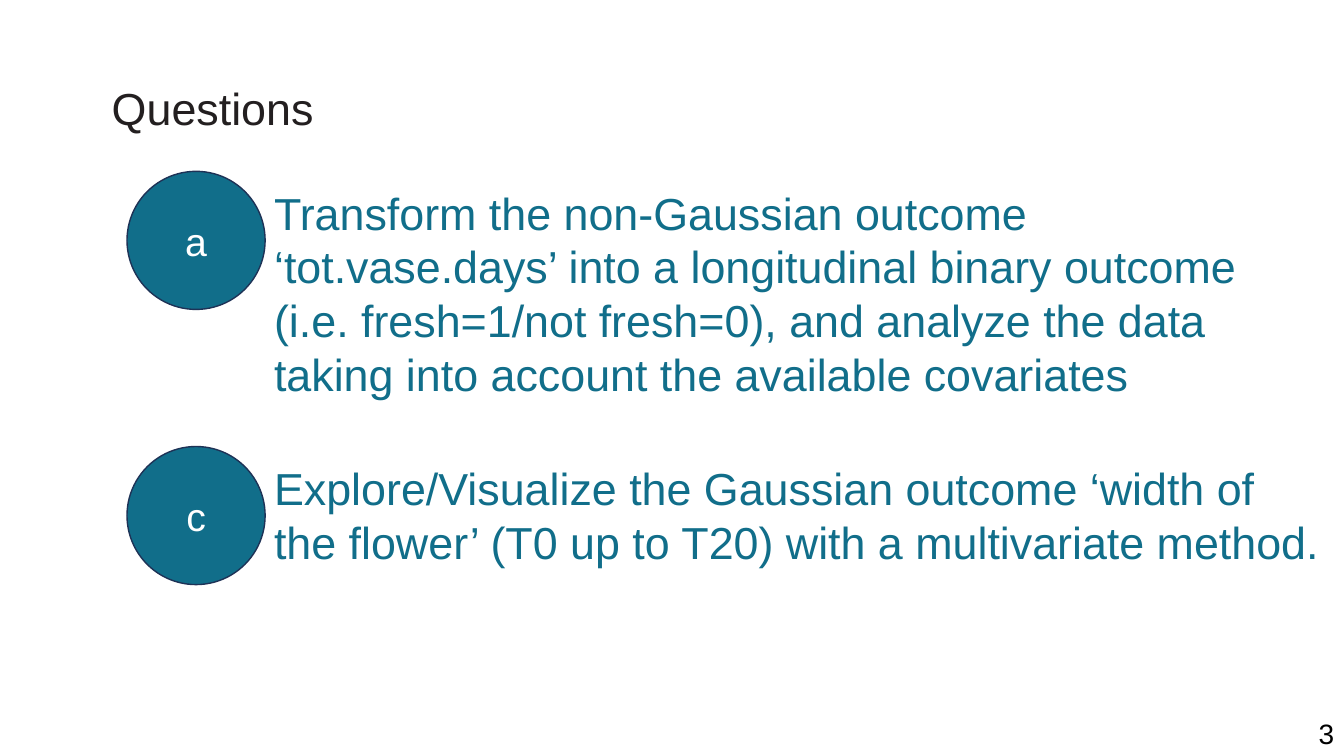
from pptx import Presentation
from pptx import util as u
from pptx.dml.color import RGBColor
from pptx.enum import shapes, text

PX = u.Inches(1) // 100
TEAL = RGBColor(0x11, 0x6E, 0x8A)
NAVY = RGBColor(0x1E, 0x32, 0x56)
CHARCOAL = RGBColor(0x23, 0x1F, 0x20)
WHITE = RGBColor(0xFF, 0xFF, 0xFF)
BLACK = RGBColor(0x00, 0x00, 0x00)

BADGE_SIZE = 137
QUESTION_PITCH = 273
QUESTIONS = [
    ("a", 226, "Transform the non-Gaussian outcome ‘tot.vase.days’ into a "
     "longitudinal binary outcome (i.e. fresh=1/not fresh=0), and analyze "
     "the data taking into account the available covariates"),
    ("c", 118, "Explore/Visualize the Gaussian outcome ‘width of the flower’ "
     "(T0 up to T20) with a multivariate method."),
]


def to_emu(*lengths):
    return [length * PX for length in lengths]


def apply_format(target, values):
    for name, value in values.items():
        setattr(target, name, value)


def write(frame, wording, size, color, align=text.PP_ALIGN.LEFT):
    paragraph = frame.paragraphs[0]
    paragraph.alignment = align
    run = paragraph.add_run()
    run.text = wording
    apply_format(run.font, {"name": "Arial", "size": u.Pt(size)})
    run.font.color.rgb = color


def add_label(slide, box, wording, size, color, align=text.PP_ALIGN.LEFT):
    frame = slide.shapes.add_textbox(*to_emu(*box)).text_frame
    apply_format(frame, {
        "word_wrap": True,
        "auto_size": text.MSO_AUTO_SIZE.SHAPE_TO_FIT_TEXT,
    })
    write(frame, wording, size, color, align)


def add_badge(slide, left, top, letter):
    badge = slide.shapes.add_shape(
        shapes.MSO_SHAPE.OVAL, *to_emu(left, top, BADGE_SIZE, BADGE_SIZE))
    badge.shadow.inherit = False
    badge.fill.solid()
    badge.fill.fore_color.rgb = TEAL
    badge.line.color.rgb = NAVY
    badge.line.width = u.Pt(1)
    badge.text_frame.vertical_anchor = text.MSO_ANCHOR.MIDDLE
    write(badge.text_frame, letter, 28, WHITE, text.PP_ALIGN.CENTER)


def add_question(slide, top, letter, height, wording):
    add_badge(slide, 126, top, letter)
    add_label(slide, (262, top + 9, 1060, height), wording, 32, TEAL)


def main():
    deck = Presentation()
    deck.slide_width, deck.slide_height = to_emu(1333, 750)
    slide = deck.slides.add_slide(deck.slide_layouts[6])

    add_label(slide, (101, 75, 589, 64), "Questions", 32, CHARCOAL)
    for index, question in enumerate(QUESTIONS):
        add_question(slide, 170 + index * QUESTION_PITCH, *question)
    add_label(slide, (744, 706, 589, 44), "3", 20, BLACK, text.PP_ALIGN.RIGHT)

    deck.save("out.pptx")


if __name__ == "__main__":
    main()
